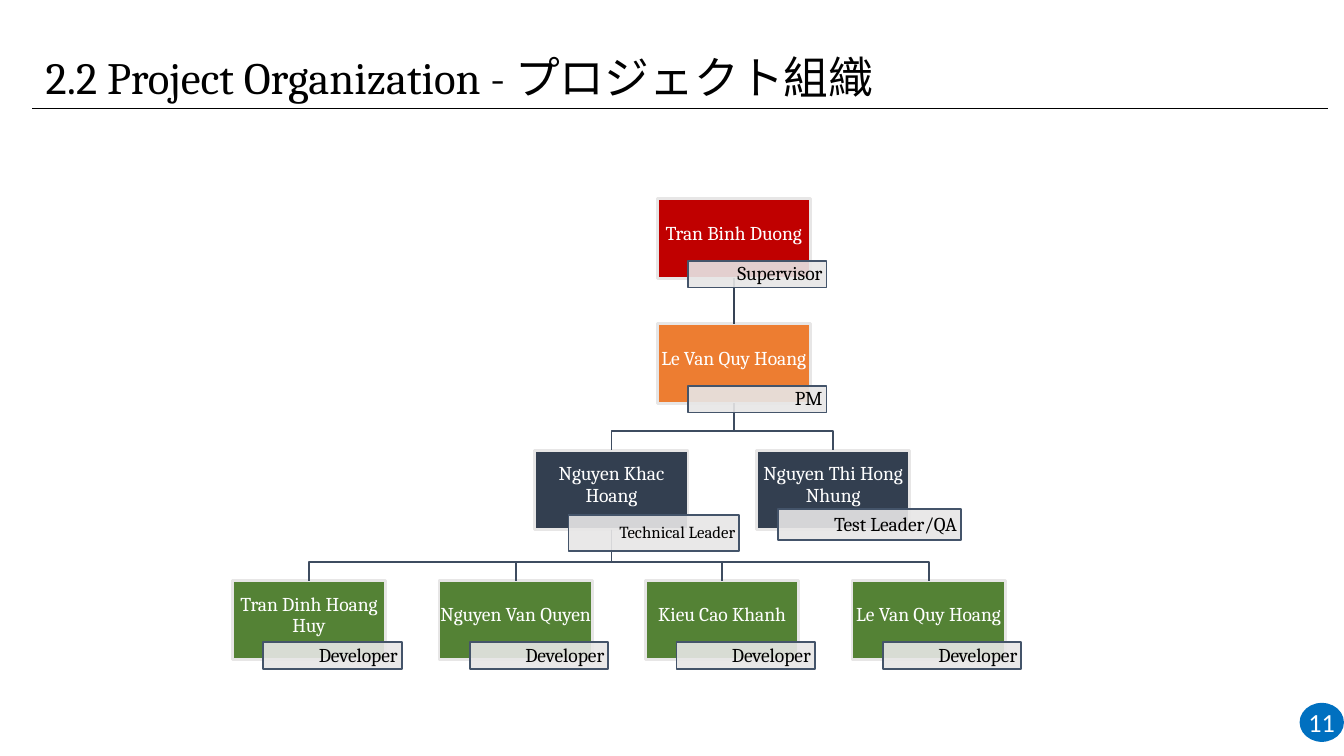
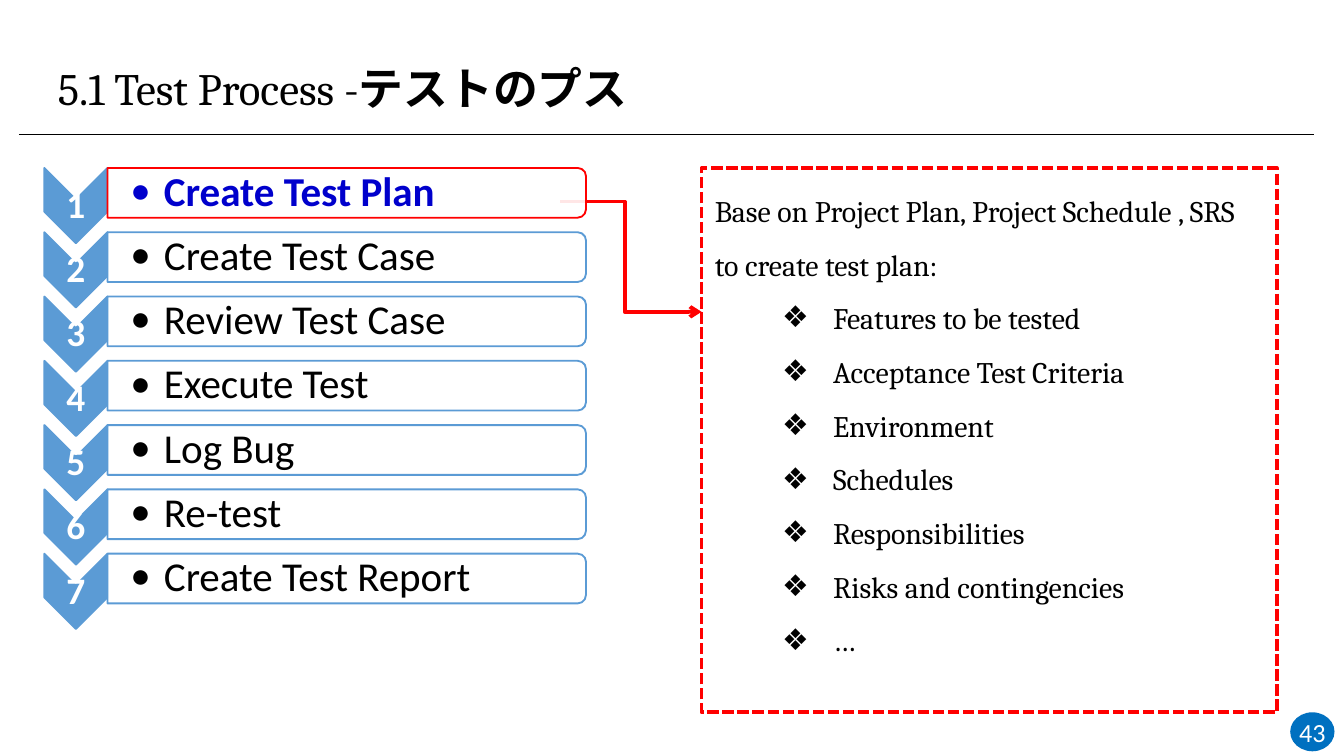
from collections import namedtuple

from lxml.etree import SubElement
from pptx import Presentation
from pptx.dml.color import RGBColor
from pptx.enum.dml import MSO_LINE
from pptx.enum.shapes import MSO_CONNECTOR as CONNECTOR, MSO_SHAPE as SHAPE
from pptx.enum.text import MSO_ANCHOR as ANCHOR, PP_ALIGN as ALIGN
from pptx.oxml.ns import qn
from pptx.util import Inches, Pt

BLACK = RGBColor(0x00, 0x00, 0x00)
WHITE = RGBColor(0xFF, 0xFF, 0xFF)
RED = RGBColor(0xFF, 0x00, 0x00)
CRIMSON = RGBColor(0xC0, 0x00, 0x00)
ORANGE = RGBColor(0xED, 0x7D, 0x31)
NAVY = RGBColor(0x33, 0x3F, 0x50)
GREEN = RGBColor(0x54, 0x82, 0x35)
PALE_GREY = RGBColor(0xE7, 0xE6, 0xE6)
SLATE = RGBColor(0x44, 0x54, 0x6A)
TRUNK = RGBColor(0x36, 0x43, 0x55)
BRANCH = RGBColor(0x3E, 0x4C, 0x60)
STEP_BLUE = RGBColor(0x5B, 0x9B, 0xD5)
STRONG_BLUE = RGBColor(0x00, 0x00, 0xCC)
BADGE_BLUE = RGBColor(0x00, 0x70, 0xC0)
HEADING_FONT = "Cambria"
BODY_FONT = "Calibri"

Box = namedtuple("Box", "left top width height")
Member = namedtuple("Member", "name role color left top tag size", defaults=(10.5,))

CARD_WIDTH, CARD_HEIGHT = 1.14, 0.59
TAG = Box(0.23, 0.46, 1.03, 0.2)
DEVELOPERS = ["Tran Dinh Hoang Huy", "Nguyen Van Quyen", "Kieu Cao Khanh", "Le Van Quy Hoang"]
STEPS = ["Create Test Plan", "Create Test Case", "Review Test Case", "Execute Test",
         "Log Bug", "Re-test", "Create Test Report"]
PLAN_TOPICS = ["Features to be tested", "Acceptance Test Criteria", "Environment", "Schedules",
               "Responsibilities", "Risks and contingencies", "…"]


def inches(box):
    """Convert a box to lengths."""
    return [Inches(value) for value in box]


def format_frame(frame, insets=(0.1, 0.05, 0.1, 0.05), anchor=ANCHOR.MIDDLE):
    """Set wrapping, margins and anchor of a text frame."""
    frame.word_wrap = True
    frame.vertical_anchor = anchor
    (frame.margin_left, frame.margin_top,
     frame.margin_right, frame.margin_bottom) = inches(insets)
    return frame.paragraphs[0]


def write(paragraph, text, size, color=BLACK, font=HEADING_FONT, bold=False,
          align=ALIGN.LEFT, spacing=None, bullet=None, indent=(0, 0), level=0):
    """Add a formatted run to a paragraph."""
    paragraph.alignment = align
    if level:
        paragraph.level = level
    if spacing:
        paragraph.line_spacing = spacing
    if bullet:
        properties = paragraph._p.get_or_add_pPr()
        properties.set("marL", str(Inches(indent[0])))
        properties.set("indent", str(Inches(indent[1])))
        SubElement(properties, qn("a:buFont")).set("typeface", BODY_FONT)
        SubElement(properties, qn("a:buChar")).set("char", bullet)
    run = paragraph.add_run()
    run.text = text
    run.font.name = font
    run.font.size = Pt(size)
    run.font.bold = bold
    run.font.color.rgb = color


def style_line(line, color, width):
    """Set colour and width of a line."""
    line.color.rgb = color
    line.width = Pt(width)


def add_block(slide, kind, box, fill=None, line=None, width=1, opacity=None):
    """Add a preset shape with its fill and outline."""
    shape = slide.shapes.add_shape(kind, *inches(box))
    shape.shadow.inherit = False
    if fill is None:
        shape.fill.background()
    else:
        shape.fill.solid()
        shape.fill.fore_color.rgb = fill
    if opacity:
        color = shape._element.spPr.find(qn("a:solidFill")).find(qn("a:srgbClr"))
        SubElement(color, qn("a:alpha")).set("val", str(opacity * 1000))
    if line is None:
        shape.line.fill.background()
    else:
        style_line(shape.line, line, width)
    return shape


def add_turned_block(slide, kind, box, **style):
    """Add a shape turned a quarter clockwise that covers the box."""
    left = box.left + (box.width - box.height) / 2
    top = box.top + (box.height - box.width) / 2
    shape = add_block(slide, kind, Box(left, top, box.height, box.width), **style)
    shape.rotation = 90
    return shape


def add_line(slide, kind, start, end, color, width):
    """Add a connector without shadow."""
    connector = slide.shapes.add_connector(kind, *inches(start + end))
    style_line(connector.line, color, width)
    SubElement(connector._element.spPr, qn("a:effectLst"))
    return connector


def add_heading(slide, box, runs, rule_start):
    """Place the title and the rule beneath it."""
    title = slide.shapes.title
    title.left, title.top, title.width, title.height = inches(box)
    paragraph = format_frame(title.text_frame, anchor=ANCHOR.TOP)
    for text, bold in runs:
        write(paragraph, text, 24, bold=bold)
    left, top = rule_start
    add_line(slide, CONNECTOR.STRAIGHT, (left, top), (left + 9.64, top), BLACK, 0.5)


def add_page_badge(slide, left, top, number):
    """Draw the page number in a blue ellipse."""
    badge = add_block(slide, SHAPE.OVAL, Box(left, top, 0.33, 0.29), fill=BADGE_BLUE)
    write(format_frame(badge.text_frame, (0, 0, 0, 0)), number, 14, WHITE, BODY_FONT,
          align=ALIGN.CENTER)


def add_card(slide, box, member):
    """Draw the name card of a member."""
    card = add_block(slide, SHAPE.RECTANGLE,
                     Box(box.left + member.left, box.top + member.top, CARD_WIDTH, CARD_HEIGHT),
                     fill=member.color, line=PALE_GREY, width=1.5)
    write(format_frame(card.text_frame, (0.01, 0.01, 0.01, 0.08)), member.name, 10.5, WHITE,
          align=ALIGN.CENTER, spacing=0.9)
    return card


def add_role_tag(slide, box, member):
    """Draw the role tag over the lower part of a card."""
    tag = member.tag
    shape = add_block(slide, SHAPE.RECTANGLE,
                      Box(box.left + member.left + tag.left, box.top + member.top + tag.top,
                          tag.width, tag.height),
                      fill=PALE_GREY, line=SLATE, opacity=90)
    write(format_frame(shape.text_frame, (0.03, 0.01, 0.03, 0.01)), member.role, member.size,
          align=ALIGN.RIGHT, spacing=0.9)


def add_branch(slide, parent, child):
    """Draw an elbow line from the parent's bottom to the child's top."""
    start_x, start_y = parent.left + parent.width // 2, parent.top + parent.height
    end_x, end_y = child.left + child.width // 2, child.top
    bend = end_y - Inches(0.14)
    builder = slide.shapes.build_freeform(start_x, start_y)
    builder.add_line_segments([(start_x, bend), (end_x, bend), (end_x, end_y)], close=False)
    branch = builder.convert_to_shape()
    branch.shadow.inherit = False
    branch.fill.background()
    style_line(branch.line, BRANCH, 1)


def add_organization(slide, box):
    """Draw the organization chart in the box."""
    leaders = [
        Member("Tran Binh Duong", "Supervisor", CRIMSON, 3.16, 0, TAG),
        Member("Le Van Quy Hoang", "PM", ORANGE, 3.16, 0.93, TAG),
        Member("Nguyen Khac Hoang", "Technical Leader", NAVY, 2.25, 1.87,
               Box(0.25, 0.48, 1.27, 0.27), 9),
        Member("Nguyen Thi Hong Nhung", "Test Leader/QA", NAVY, 3.9, 1.87,
               Box(0.16, 0.44, 1.36, 0.23)),
    ]
    pitch = (box.width - TAG.left - TAG.width) / (len(DEVELOPERS) - 1)
    developers = [Member(name, "Developer", GREEN, index * pitch, 2.84, TAG)
                  for index, name in enumerate(DEVELOPERS)]
    members = leaders + developers
    cards = [add_card(slide, box, member) for member in members]
    supervisor, manager, technical, tester = cards[:4]
    trunk = add_line(slide, CONNECTOR.STRAIGHT, (0, 0), (1, 1), TRUNK, 1)
    trunk.begin_connect(supervisor, 2)
    trunk.end_connect(manager, 0)
    for child in (technical, tester):
        add_branch(slide, manager, child)
    for child in cards[4:]:
        add_branch(slide, technical, child)
    for member in members:
        add_role_tag(slide, box, member)


def add_plan_details(slide, box):
    """Draw the dashed panel that explains the test plan."""
    panel = add_block(slide, SHAPE.RECTANGLE, box, line=RED, width=2)
    panel.line.dash_style = MSO_LINE.SQUARE_DOT
    frame = panel.text_frame
    write(format_frame(frame, anchor=ANCHOR.TOP),
          "Base on Project Plan, Project Schedule , SRS to create test plan:", 16, spacing=1.5)
    for topic in PLAN_TOPICS:
        write(frame.add_paragraph(), topic, 16, spacing=1.5, bullet="❖",
              indent=(0.88, -0.38), level=1)


def add_detail_arrow(slide, box):
    """Draw the elbow arrow from the first step to the panel."""
    arrow = add_line(slide, CONNECTOR.ELBOW, (box.left, box.top),
                     (box.left + box.width, box.top + box.height), RED, 2)
    properties = arrow._element.spPr
    guide = SubElement(properties.find(qn("a:prstGeom")).find(qn("a:avLst")), qn("a:gd"))
    guide.set("name", "adj1")
    guide.set("fmla", "val 45500")
    SubElement(properties.find(qn("a:ln")), qn("a:tailEnd")).set("type", "arrow")


def add_step(slide, box, number, label, active):
    """Draw one numbered chevron with its label bar."""
    chevron = Box(box.left, box.top, 0.47, box.height)
    add_turned_block(slide, SHAPE.CHEVRON, chevron, fill=STEP_BLUE, line=STEP_BLUE)
    number_box = slide.shapes.add_textbox(
        *inches((box.left, box.top + 0.2, chevron.width, 0.17)))
    write(format_frame(number_box.text_frame, (0.01,) * 4), str(number), 20, WHITE, BODY_FONT,
          bold=True, align=ALIGN.CENTER, spacing=0.9)
    bar = Box(box.left + chevron.width, box.top, box.width - chevron.width, 0.37)
    add_turned_block(slide, SHAPE.ROUND_2_SAME_RECTANGLE, bar, fill=WHITE,
                     line=RED if active else STEP_BLUE, opacity=90)
    label_box = slide.shapes.add_textbox(
        *inches((bar.left, bar.top + 0.02, bar.width - 0.03, 0.33)))
    write(format_frame(label_box.text_frame, (0.17, 0.02, 0.02, 0.02)), label, 22,
          STRONG_BLUE if active else BLACK, BODY_FONT, bold=active, spacing=0.9,
          bullet="•", indent=(0.25, -0.25), level=1)


def add_steps(slide, box):
    """Stack the test steps evenly in the box."""
    step_height = 0.56
    pitch = (box.height - step_height) / (len(STEPS) - 1)
    for index, label in enumerate(STEPS):
        step = Box(box.left, box.top + index * pitch, box.width, step_height)
        add_step(slide, step, index + 1, label, active=index == 0)


def build_organization_slide(slide):
    """Build the project organization slide."""
    add_heading(slide, Box(0.24, 0.32, 9.33, 0.98),
                [("2.2 Project Organization - プロジェクト組織", False)], (0.24, 0.81))
    add_organization(slide, Box(1.73, 1.48, 5.87, 3.5))
    add_page_badge(slide, 9.67, 5.23, "11")


def build_process_slide(slide):
    """Build the test process slide."""
    add_heading(slide, Box(0.33, 0.4, 7.17, 0.5),
                [("5.1 Test Process -", False), ("テストのプス", True)], (0.14, 1))
    add_plan_details(slide, Box(5.22, 1.25, 4.28, 4.05))
    add_detail_arrow(slide, Box(4.17, 1.5, 1.05, 0.82))
    add_steps(slide, Box(0.33, 1.25, 4.03, 3.43))
    add_page_badge(slide, 9.6, 5.3, "43")


def main():
    """Build and save the presentation."""
    presentation = Presentation()
    presentation.slide_width = Inches(10)
    presentation.slide_height = presentation.slide_width * 9 // 16
    title_only = presentation.slide_layouts[5]
    for build in (build_organization_slide, build_process_slide):
        build(presentation.slides.add_slide(title_only))
    presentation.save("out.pptx")


if __name__ == "__main__":
    main()
